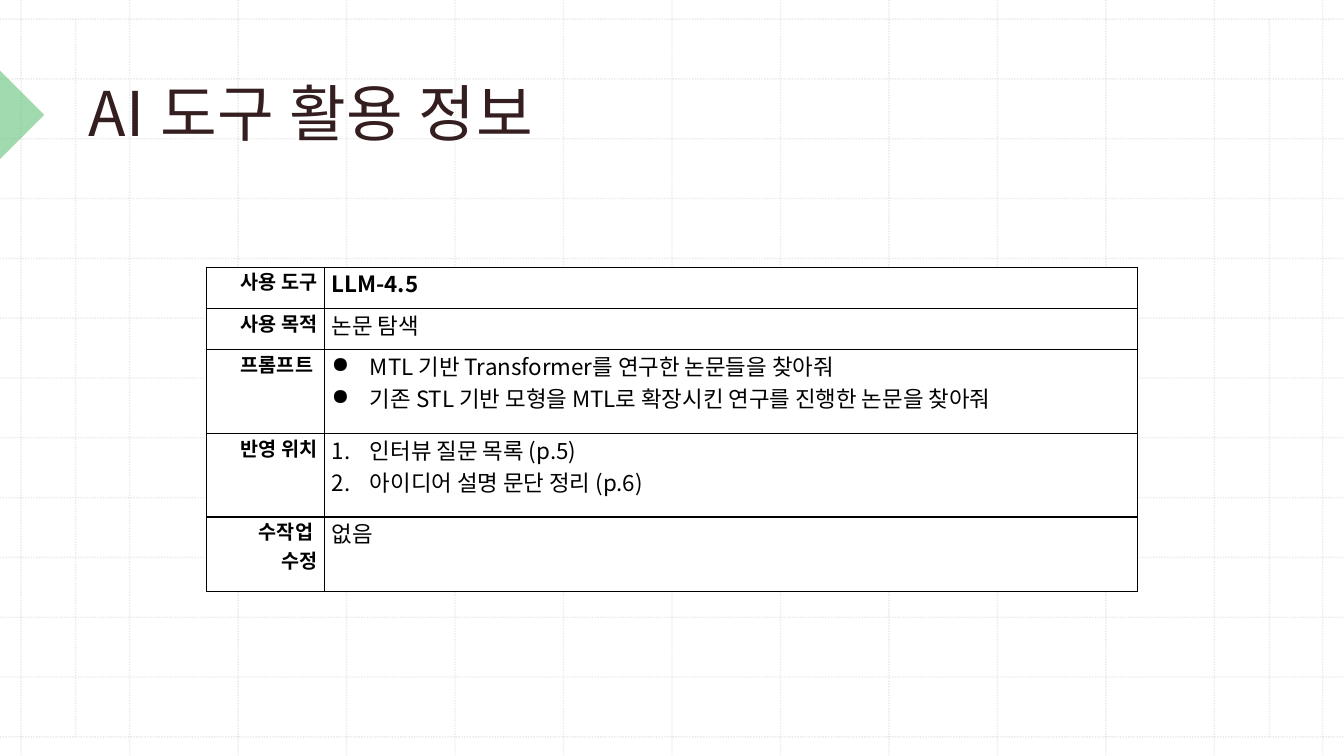
"""Build the slide listing how an AI tool was used."""
from dataclasses import dataclass

from lxml import etree
from pptx import Presentation
from pptx import util as u
from pptx.dml.color import RGBColor
from pptx.enum import dml, shapes, text
from pptx.oxml import ns


@dataclass(frozen=True)
class Theme:
    font: str = "Noto Sans CJK KR"
    title: str = "351E1F"
    ink: str = "000000"
    paper: str = "FFFFFF"
    grid: str = "BCBCBC"
    accent: str = "47B662"
    title_size: int = 44
    label_size: int = 14
    body_size: int = 16


theme = Theme()


def write(paragraph, content, size, color=theme.ink, bold=False,
          align=text.PP_ALIGN.LEFT, spacing=None, bullet=None):
    paragraph.alignment = align
    run = paragraph.add_run()
    run.text = content
    run.font.size = u.Pt(size)
    run.font.bold = bold
    run.font.color.rgb = RGBColor.from_string(color)
    run.font.name = theme.font
    properties = run.font._element
    etree.SubElement(properties, ns.qn("a:ea"), typeface=theme.font)
    if spacing:
        properties.set("spc", str(round(spacing * 100)))
    if bullet:
        layout = paragraph._p.get_or_add_pPr()
        layout.set("marL", str(u.Inches(0.38)))
        layout.set("indent", str(-u.Inches(0.38)))
        tag, key = ("a:buAutoNum", "type") if bullet == "arabicPeriod" else ("a:buChar", "char")
        etree.SubElement(layout, ns.qn(tag)).set(key, bullet)


def add_grid_line(x1, y1, x2, y2):
    line = slide.shapes.add_connector(
        shapes.MSO_CONNECTOR.STRAIGHT, u.Inches(x1), u.Inches(y1), u.Inches(x2), u.Inches(y2))
    line.line.width = u.Pt(1)
    line.line.color.rgb = RGBColor.from_string(theme.grid)
    line.line.dash_style = dml.MSO_LINE.ROUND_DOT
    properties = line._element.spPr
    color = properties.find(".//" + ns.qn("a:srgbClr"))
    etree.SubElement(color, ns.qn("a:alpha"), val="30000")
    etree.SubElement(properties, ns.qn("a:effectLst"))


presentation = Presentation()
presentation.slide_width = u.Inches(13.33)
presentation.slide_height = u.Inches(7.5)
slide = presentation.slides.add_slide(presentation.slide_layouts[6])
slide.background.fill.solid()
slide.background.fill.fore_color.rgb = RGBColor.from_string(theme.paper)

for index in range(13):
    x = 0.21 + index * 12.91 / 12
    y = 0.19 + index * 7.12 / 12
    add_grid_line(x, 0, x, 7.5)
    add_grid_line(0, y, 13.33, y)
for x in (0.75, 12.59):
    add_grid_line(x, 0.19, x, 7.31)

marker = slide.shapes.add_shape(
    shapes.MSO_SHAPE.RIGHT_TRIANGLE, u.Inches(-0.31), u.Inches(0.83), u.Inches(0.62), u.Inches(0.62))
marker.rotation = 225
marker.shadow.inherit = False
marker.line.fill.background()
marker.fill.solid()
marker.fill.fore_color.rgb = RGBColor.from_string(theme.accent)
marker_color = marker._element.spPr.find(".//" + ns.qn("a:srgbClr"))
etree.SubElement(marker_color, ns.qn("a:alpha"), val="50000")

title = slide.shapes.add_textbox(u.Inches(0.76), 0, u.Inches(11.29), u.Inches(1.58))
frame = title.text_frame
frame.word_wrap = True
frame.vertical_anchor = text.MSO_ANCHOR.BOTTOM
frame.margin_left = frame.margin_top = frame.margin_right = u.Inches(0.12)
frame.margin_bottom = u.Inches(0.1)
frame.paragraphs[0].line_spacing = 1.14
write(frame.paragraphs[0], "AI 도구 활용 정보", theme.title_size, color=theme.title, spacing=0.5)

label_format = dict(size=theme.label_size, bold=True, align=text.PP_ALIGN.RIGHT)
body_format = dict(size=theme.body_size, align=text.PP_ALIGN.JUSTIFY)
usage_rows = [
    (0.41, ["사용 도구"], ["LLM-4.5"], dict(bold=True)),
    (0.41, ["사용 목적"], ["논문 탐색"], {}),
    (0.83, ["프롬프트 "],
     ["MTL 기반 Transformer를 연구한 논문들을 찾아줘",
      "기존 STL 기반 모형을 MTL로 확장시킨 연구를 진행한 논문을 찾아줘"], dict(bullet="●")),
    (0.83, ["반영 위치"],
     ["인터뷰 질문 목록 (p.5)", "아이디어 설명 문단 정리 (p.6)"], dict(bullet="arabicPeriod")),
    (0.74, ["수작업 ", "수정"], ["없음"], {}),
]
table = slide.shapes.add_table(
    len(usage_rows), 2, u.Inches(2.05), u.Inches(2.65), u.Inches(9.23), u.Inches(3.22)).table
table.first_row = table.horz_banding = False
table.columns[0].width = u.Inches(1.17)
table.columns[1].width = u.Inches(8.06)

for row, (height, labels, details, extra) in enumerate(usage_rows):
    table.rows[row].height = u.Inches(height)
    for column, (lines, style) in enumerate([(labels, label_format), (details, body_format | extra)]):
        cell = table.cell(row, column)
        cell.margin_left = cell.margin_right = u.Inches(0.07)
        cell.margin_top = cell.margin_bottom = 0
        for number, content in enumerate(lines):
            frame = cell.text_frame
            paragraph = frame.add_paragraph() if number else frame.paragraphs[0]
            write(paragraph, content, **style)
        properties = cell._tc.get_or_add_tcPr()
        for side in ("a:lnL", "a:lnR", "a:lnT", "a:lnB"):
            border = etree.SubElement(properties, ns.qn(side), w=str(u.Pt(1)))
            fill = etree.SubElement(border, ns.qn("a:solidFill"))
            etree.SubElement(fill, ns.qn("a:srgbClr"), val=theme.ink)
        cell.fill.solid()
        cell.fill.fore_color.rgb = RGBColor.from_string(theme.paper)

presentation.save("out.pptx")
